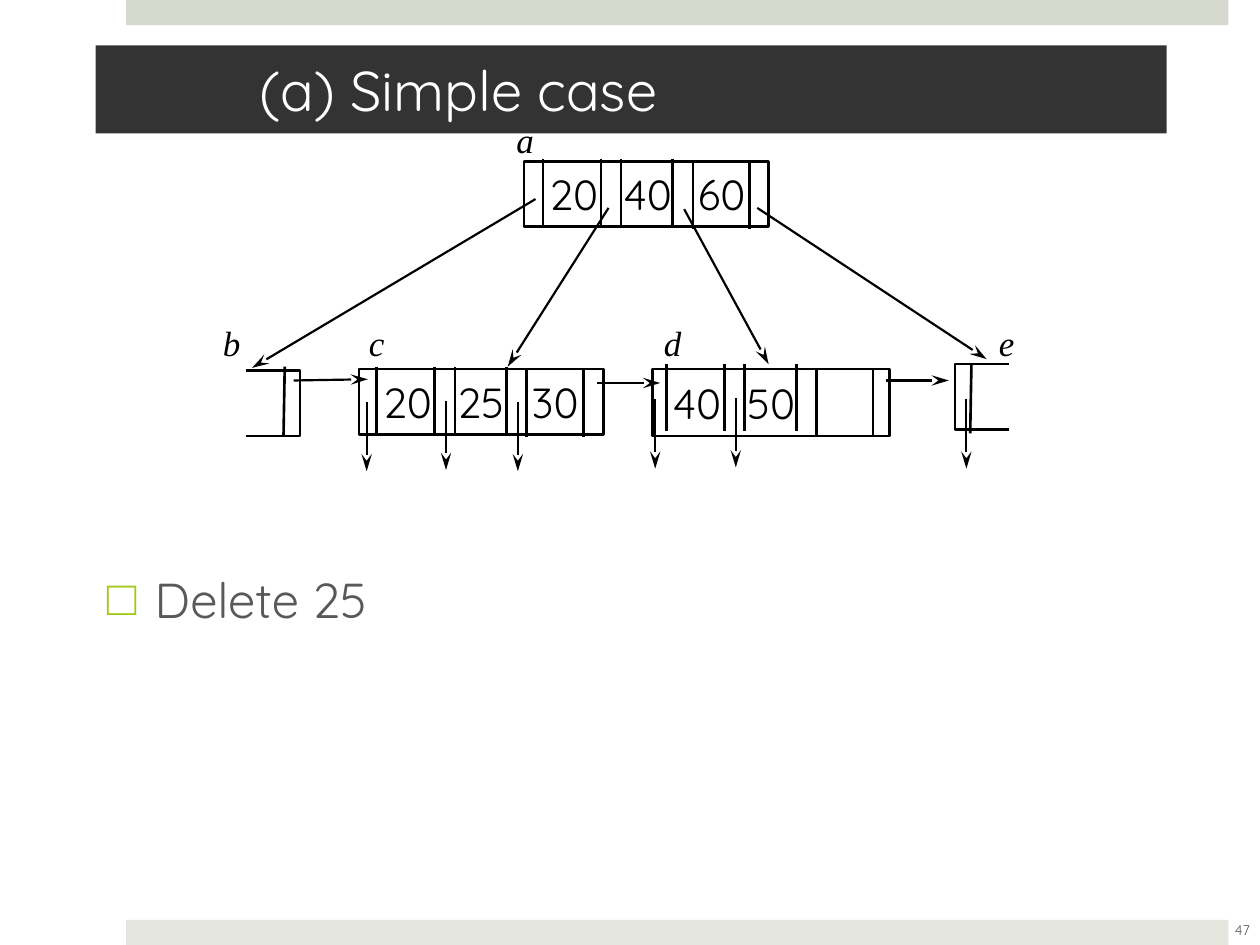
"""Build the B+ tree slide showing the simple deletion case."""
from dataclasses import dataclass

from lxml import etree
from pptx import Presentation
from pptx.dml.color import RGBColor
from pptx.enum.shapes import MSO_CONNECTOR, MSO_SHAPE
from pptx.enum.text import MSO_ANCHOR, PP_ALIGN
from pptx.oxml.ns import qn
from pptx.util import Inches, Pt

RECT = MSO_SHAPE.RECTANGLE
STRAIGHT = MSO_CONNECTOR.STRAIGHT
TOP, MIDDLE = MSO_ANCHOR.TOP, MSO_ANCHOR.MIDDLE
LEFT, CENTER = PP_ALIGN.LEFT, PP_ALIGN.CENTER

BLACK = RGBColor(0, 0, 0)
WHITE = RGBColor(255, 255, 255)
GRAY = RGBColor(0x59, 0x59, 0x59)
CHARCOAL = RGBColor(0x33, 0x33, 0x33)
TOP_BAND = RGBColor(0xD6, 0xD9, 0xCD)
BOTTOM_BAND = RGBColor(0xE4, 0xE6, 0xDE)
BULLET_HEX = "A2C816"

SANS, SERIF = "Quicksand", "Times New Roman"
BORDER, ARROW = 1.5, 1.25
KEY_GAP, KEY_STEP = 0.05, 0.59
DIVIDER_OFFSETS = (0, 0.46, 0.62, 1.03, 1.19, 1.64)
DIVIDER_HEIGHT, POINTER_HEIGHT = 0.53, 0.55

Point = tuple[float, float]
Box = tuple[float, float, float, float]


@dataclass(frozen=True)
class Node:
    box: Box
    keys_box: Box
    keys: tuple[str, ...]
    divider: Point


@dataclass(frozen=True)
class Label:
    text: str
    left: float
    top: float


NODES = (
    Node((4.16, 1.28, 1.94, 0.52), (4.16, 1.28, 1.94, 0.52),
         ("20", "40", "60"), (4.31, 1.26)),
    Node((2.85, 2.93, 1.94, 0.52), (2.85, 2.93, 1.94, 0.52),
         ("20", "25", "30"), (2.99, 2.91)),
    Node((5.18, 2.93, 1.88, 0.53), (5.25, 2.94, 1.15, 0.51),
         ("40", "50"), (5.29, 2.89)),
)
LABELS = (
    Label("a", 4, 0.89),
    Label("b", 1.67, 2.5),
    Label("c", 2.83, 2.5),
    Label("d", 5.17, 2.5),
    Label("e", 7.83, 2.5),
)
PARTIAL_NODES = (
    ((1.95, 2.94), (2.38, 2.94), (2.38, 3.46), (1.95, 3.46)),
    ((8.01, 3.41), (7.58, 3.41), (7.58, 2.89), (8.01, 2.89)),
)
PARTIAL_DIVIDERS = (((2.26, 2.91), (2.25, 3.46)), ((7.7, 3.44), (7.71, 2.89)))
CHILD_LINKS = (
    ((4.25, 1.58), (2, 2.92)),
    ((4.83, 1.65), (4.03, 2.91)),
    ((5.43, 1.66), (6.1, 2.89)),
    ((6.01, 1.65), (7.83, 2.85)),
)
SIBLING_LINKS = (
    ((2.33, 3.02), (2.92, 3.01)),
    ((4.74, 3.04), (5.24, 3.04)),
    ((7.03, 3.02), (7.53, 3.02)),
)
RECORD_POINTERS = ((2.91, 3.19), (3.54, 3.18), (4.11, 3.19),
                   (5.2, 3.17), (5.84, 3.16), (7.67, 3.17))


def inches(values: tuple) -> list:
    return [Inches(v) for v in values]


def add_rect(s, box: Box, fill: RGBColor | None = None):
    sp = s.shapes.add_shape(RECT, *inches(box))
    sp.shadow.inherit = False
    if fill is None:
        outline(sp)
    else:
        sp.fill.solid()
        sp.fill.fore_color.rgb = fill
        sp.line.fill.background()
    return sp


def outline(sp) -> None:
    sp.fill.background()
    sp.line.color.rgb = BLACK
    sp.line.width = Pt(BORDER)


def add_line(s, start: Point, end: Point, width: float, arrow: bool = False) -> None:
    cx = s.shapes.add_connector(STRAIGHT, *inches(start + end))
    cx.line.color.rgb = BLACK
    cx.line.width = Pt(width)
    if arrow:
        etree.SubElement(cx.line._get_or_add_ln(), qn("a:tailEnd"),
                         type="stealth", w="med", len="lg")
    etree.SubElement(cx._element.spPr, qn("a:effectLst"))


def write(sp, text: str, size: float, color: RGBColor, name: str = SANS,
          italic: bool = False, align=LEFT, anchor=MIDDLE, wrap: bool = True,
          left_inset: float = 0.1, right_inset: float = 0.1):
    tf = sp.text_frame
    frame = {"word_wrap": wrap, "vertical_anchor": anchor,
             "margin_left": Inches(left_inset), "margin_right": Inches(right_inset)}
    for key, value in frame.items():
        setattr(tf, key, value)
    p = tf.paragraphs[0]
    p.alignment = align
    r = p.add_run()
    r.text = text
    for key, value in {"size": Pt(size), "name": name, "italic": italic}.items():
        setattr(r.font, key, value)
    r.font.color.rgb = color
    return p


def add_text(s, box: Box, text: str, size: float, color: RGBColor, **style):
    return write(s.shapes.add_textbox(*inches(box)), text, size, color, **style)


def add_node(s, node: Node) -> None:
    sp = add_rect(s, node.box)
    if node.keys_box != node.box:
        sp = s.shapes.add_textbox(*inches(node.keys_box))
    left, top = node.divider
    p = write(sp, "\t".join(node.keys), 24, BLACK,
              left_inset=left + KEY_GAP - node.keys_box[0], right_inset=0)
    tabs = etree.SubElement(p._p.get_or_add_pPr(), qn("a:tabLst"))
    for i in range(1, len(node.keys)):
        etree.SubElement(tabs, qn("a:tab"), pos=str(Inches(i * KEY_STEP)), algn="l")
    for i, offset in enumerate(DIVIDER_OFFSETS):
        x, y = left + offset, top + (0.03 if i >= 4 else 0)
        add_line(s, (x, y), (x, y + DIVIDER_HEIGHT), BORDER)


def add_partial_node(s, points: tuple[Point, ...]) -> None:
    first, *rest = [tuple(inches(point)) for point in points]
    fb = s.shapes.build_freeform(*first)
    fb.add_line_segments(rest, close=False)
    sp = fb.convert_to_shape()
    sp.shadow.inherit = False
    outline(sp)


def add_bullet(s, box: Box, text: str) -> None:
    p = add_text(s, box, text, 28, GRAY, anchor=TOP)
    p.line_spacing = 0.9
    pPr = p._p.get_or_add_pPr()
    pPr.set("marL", str(Inches(0.38)))
    pPr.set("indent", str(Inches(-0.38)))
    color = etree.SubElement(pPr, qn("a:buClr"))
    etree.SubElement(color, qn("a:srgbClr"), val=BULLET_HEX)
    etree.SubElement(pPr, qn("a:buFont"), typeface=SERIF)
    etree.SubElement(pPr, qn("a:buChar"), char="□")


def main() -> None:
    prs = Presentation()
    prs.slide_width, prs.slide_height = Inches(10), Inches(7.5)
    s = prs.slides.add_slide(prs.slide_layouts[6])
    add_rect(s, (1, 0, 8.75, 0.2), TOP_BAND)
    add_rect(s, (1, 7.3, 8.75, 0.2), BOTTOM_BAND)
    add_text(s, (9.61, 7.18, 0.5, 0.4), "47", 8, GRAY, align=CENTER)
    title = add_rect(s, (0.76, 0.36, 8.5, 0.7), CHARCOAL)
    write(title, "(a) Simple case", 32, WHITE, left_inset=1.3, right_inset=0.3)
    add_bullet(s, (0.75, 4.52, 8.5, 2.15), "Delete 25")
    for node in NODES:
        add_node(s, node)
    for points in PARTIAL_NODES:
        add_partial_node(s, points)
    for start, end in PARTIAL_DIVIDERS:
        add_line(s, start, end, BORDER)
    for start, end in CHILD_LINKS + SIBLING_LINKS:
        add_line(s, start, end, ARROW, arrow=True)
    for x, y in RECORD_POINTERS:
        add_line(s, (x, y), (x, y + POINTER_HEIGHT), ARROW, arrow=True)
    for label in LABELS:
        add_text(s, (label.left, label.top, 0.34, 0.43), label.text, 20, BLACK,
                 name=SERIF, italic=True, anchor=TOP, wrap=False)
    prs.save("out.pptx")


if __name__ == "__main__":
    main()
